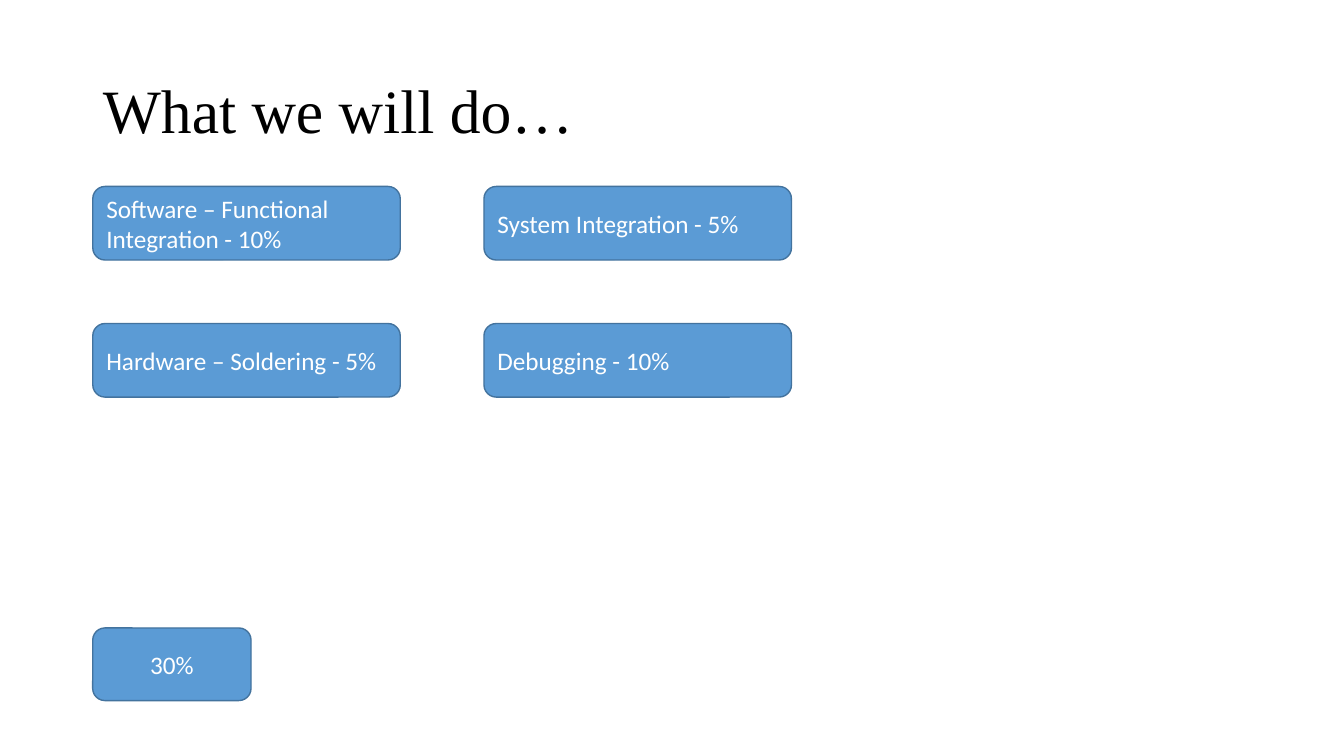
"""Build the slide of remaining tasks and their shares."""
from dataclasses import dataclass

from pptx import Presentation
from pptx.dml.color import RGBColor
from pptx.enum.shapes import MSO_SHAPE
from pptx.enum.text import MSO_ANCHOR, PP_ALIGN
from pptx.slide import Slide
from pptx.util import Inches, Pt


@dataclass(frozen=True)
class Theme:
    fill: RGBColor = RGBColor(0x5B, 0x9B, 0xD5)
    outline: RGBColor = RGBColor(0x43, 0x73, 0x9E)
    title_color: RGBColor = RGBColor(0, 0, 0)
    box_color: RGBColor = RGBColor(0xFF, 0xFF, 0xFF)
    title_font: str = "Times New Roman"
    box_font: str = "Calibri"
    title_size: int = 44
    box_size: int = 18


@dataclass(frozen=True)
class Box:
    text: str
    left: float
    top: float
    width: float = 3.05
    height: float = 0.73
    align: PP_ALIGN = PP_ALIGN.LEFT


THEME = Theme()
LEFT, TOP = 0.92, 1.85
COLUMN_STEP, ROW_STEP = 3.88, 1.36
TASK_COLUMNS = [
    ["Software – Functional Integration - 10%", "Hardware – Soldering - 5%"],
    ["System Integration - 5%", "Debugging - 10%"],
]
TASKS = [
    Box(text, LEFT + column * COLUMN_STEP, TOP + row * ROW_STEP)
    for column, texts in enumerate(TASK_COLUMNS)
    for row, text in enumerate(texts)
]
TOTAL = Box("30%", LEFT, 6.23, 1.57, 0.72, PP_ALIGN.CENTER)


def set_title(page: Slide, text: str) -> None:
    title = page.shapes.title
    title.left, title.top = Inches(LEFT), Inches(0.4)
    title.width, title.height = Inches(11.5), Inches(1.45)
    frame = title.text_frame
    frame.text = text
    frame.word_wrap = True
    frame.vertical_anchor = MSO_ANCHOR.MIDDLE
    para = frame.paragraphs[0]
    para.alignment = PP_ALIGN.LEFT
    para.line_spacing = 0.9
    para.font.name = THEME.title_font
    para.font.size = Pt(THEME.title_size)
    para.font.color.rgb = THEME.title_color


def draw_box(page: Slide, box: Box) -> None:
    shape = page.shapes.add_shape(
        MSO_SHAPE.ROUNDED_RECTANGLE,
        Inches(box.left), Inches(box.top), Inches(box.width), Inches(box.height),
    )
    shape.shadow.inherit = False
    shape.fill.solid()
    shape.fill.fore_color.rgb = THEME.fill
    shape.line.color.rgb = THEME.outline
    shape.line.width = Pt(1)
    frame = shape.text_frame
    frame.text = box.text
    frame.word_wrap = True
    frame.vertical_anchor = MSO_ANCHOR.MIDDLE
    para = frame.paragraphs[0]
    para.alignment = box.align
    para.font.name = THEME.box_font
    para.font.size = Pt(THEME.box_size)
    para.font.color.rgb = THEME.box_color


def main() -> None:
    deck = Presentation()
    deck.slide_width, deck.slide_height = Inches(13.33), Inches(7.5)
    page = deck.slides.add_slide(deck.slide_layouts[5])
    set_title(page, "What we will do…")
    for box in [*TASKS, TOTAL]:
        draw_box(page, box)
    deck.save("out.pptx")


if __name__ == "__main__":
    main()
